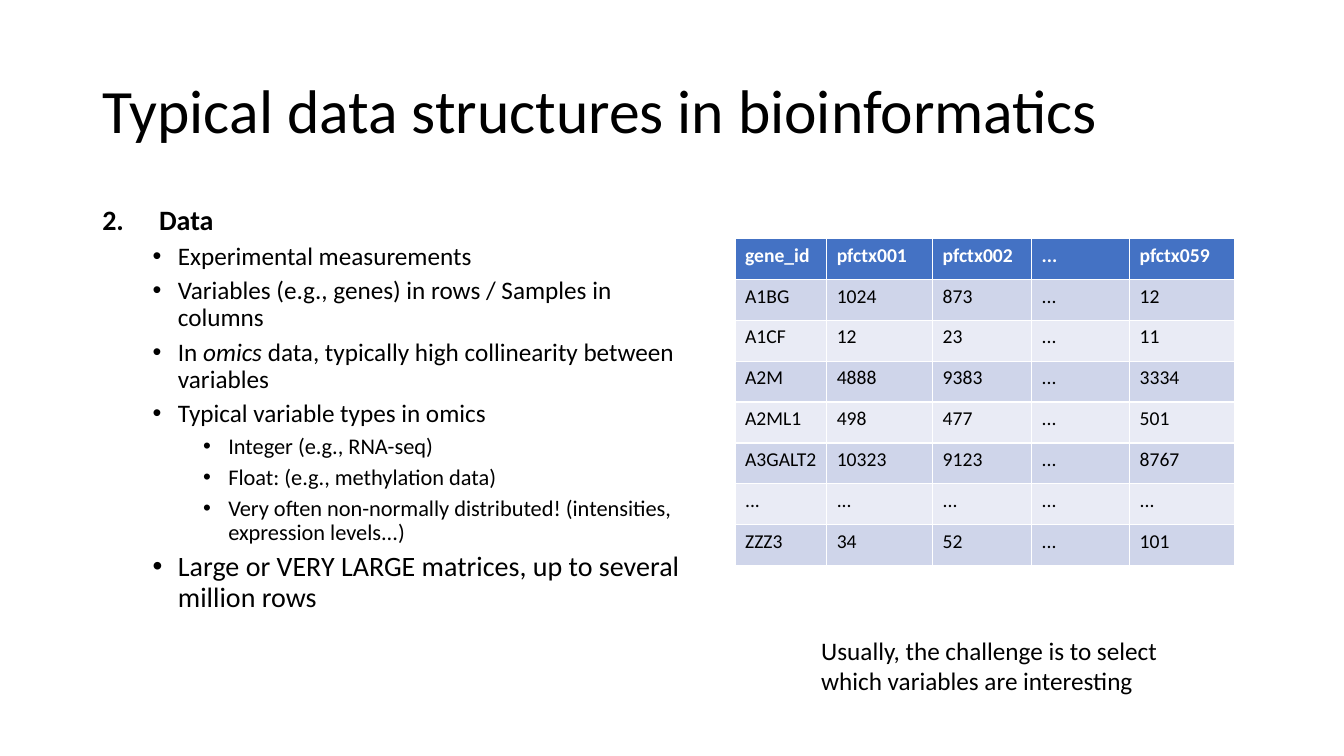
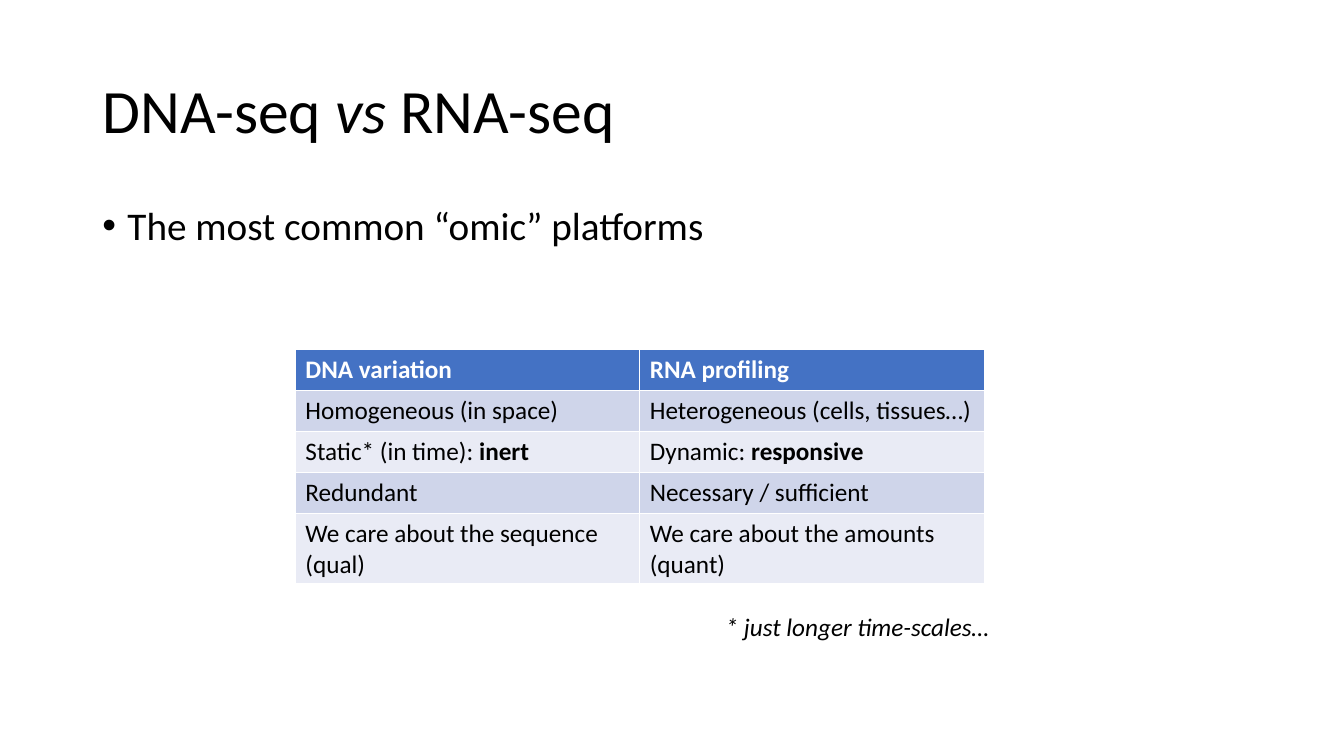
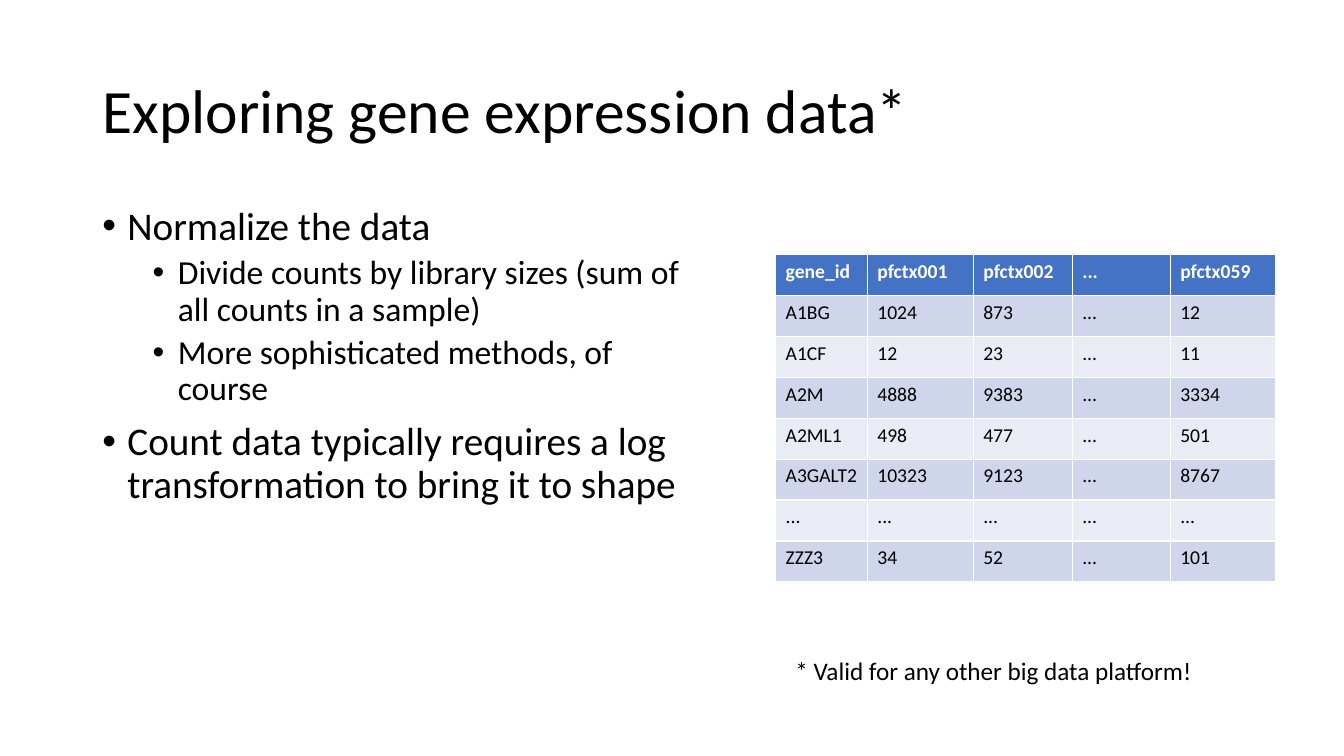
from lxml import etree
from pptx import Presentation
from pptx.dml.color import RGBColor
from pptx.enum.text import MSO_ANCHOR, MSO_AUTO_SIZE, PP_ALIGN
from pptx.oxml.ns import qn
from pptx.util import Pt

BLACK = RGBColor(0x00, 0x00, 0x00)
WHITE = RGBColor(0xFF, 0xFF, 0xFF)
HEADER_BLUE = RGBColor(0x44, 0x72, 0xC4)
BAND_DARK = RGBColor(0xCF, 0xD5, 0xEA)
BAND_LIGHT = RGBColor(0xE9, 0xEB, 0xF5)

LEFT = PP_ALIGN.LEFT
MIDDLE = MSO_ANCHOR.MIDDLE
NO_FIT = MSO_AUTO_SIZE.NONE
GROW = MSO_AUTO_SIZE.SHAPE_TO_FIT_TEXT

FONT = "Calibri"
TITLE_SIZE = 44
NOTE_SIZE = 18
LINE_SPACING = 0.9
MARGIN = 66
CONTENT_WIDTH = 828
BODY_TOP = 144
ROW_HEIGHT = 29.2
TITLE_ONLY = 5

BOLD = {"bold": True}
ITALIC = {"italic": True}

# Per outline level: left indent, hanging indent, space before
LEVELS = [(18, 18, 10), (54, 18, 5), (90, 18, 5)]
NUMBER_INDENT = 40.5

GENE_COLUMNS = [65.5, 75.7, 70.7, 70, 75]
GENE_COUNTS = [
    ["gene_id", "pfctx001", "pfctx002", "...", "pfctx059"],
    ["A1BG", "1024", "873", "...", "12"],
    ["A1CF", "12", "23", "...", "11"],
    ["A2M", "4888", "9383", "...", "3334"],
    ["A2ML1", "498", "477", "...", "501"],
    ["A3GALT2", "10323", "9123", "...", "8767"],
    ["..."] * 5,
    ["ZZZ3", "34", "52", "...", "101"],
]
PLATFORMS = [
    ["DNA variation", "RNA profiling"],
    ["Homogeneous (in space)", "Heterogeneous (cells, tissues…)"],
    [[("Static* (in time): ", {}), ("inert", BOLD)],
     [("Dynamic: ", {}), ("responsive", BOLD)]],
    ["Redundant", "Necessary / sufficient"],
    ["We care about the sequence (qual)", "We care about the amounts (quant)"],
]


def write_runs(paragraph, content, size, color=BLACK, **common):
    """Write a string, or a list of (text, font values) pairs, into a paragraph."""
    runs = [(content, {})] if isinstance(content, str) else content
    for text, own in runs:
        run = paragraph.add_run()
        run.text = text
        run.font.color.rgb = color
        values = {"name": FONT, "size": Pt(size), "bold": False, "italic": False}
        for name, value in {**values, **common, **own}.items():
            setattr(run.font, name, value)


def add_titled_slide(presentation, content):
    slide = presentation.slides.add_slide(presentation.slide_layouts[TITLE_ONLY])
    title = slide.shapes.title
    title.left, title.top = Pt(MARGIN), Pt(28.8)
    title.width, title.height = Pt(CONTENT_WIDTH), Pt(104.4)
    frame = title.text_frame
    frame.auto_size = NO_FIT
    frame.vertical_anchor = MIDDLE
    paragraph = frame.paragraphs[0]
    paragraph.alignment = LEFT
    paragraph.line_spacing = LINE_SPACING
    write_runs(paragraph, content, TITLE_SIZE)
    return slide


def set_bullet(paragraph, level, number=None):
    """Indent a paragraph and give it a dot, or a number to start from."""
    indent, hanging, _ = LEVELS[level]
    if number:
        indent = hanging = NUMBER_INDENT
    properties = paragraph._p.get_or_add_pPr()
    properties.set("marL", str(Pt(indent)))
    properties.set("indent", str(-Pt(hanging)))
    if number:
        etree.SubElement(properties, qn("a:buFont"), typeface="+mj-lt")
        etree.SubElement(properties, qn("a:buAutoNum"),
                         type="arabicPeriod", startAt=str(number))
    else:
        etree.SubElement(properties, qn("a:buFont"), typeface="Arial")
        etree.SubElement(properties, qn("a:buChar"), char="•")


def add_outline(slide, width, height, items, number=None):
    """Add a list of (level, size, content); number replaces the first bullet."""
    box = slide.shapes.add_textbox(Pt(MARGIN), Pt(BODY_TOP), Pt(width), Pt(height))
    frame = box.text_frame
    frame.word_wrap = True
    for index, (level, size, content) in enumerate(items):
        paragraph = frame.add_paragraph() if index else frame.paragraphs[0]
        paragraph.level = level
        paragraph.line_spacing = LINE_SPACING
        paragraph.space_before = Pt(LEVELS[level][2] if index else 0)
        first_number = number if index == 0 else None
        set_bullet(paragraph, level, first_number)
        write_runs(paragraph, content, size, bold=bool(first_number))


def add_note(slide, left, top, width, height, content, wrap=True):
    box = slide.shapes.add_textbox(Pt(left), Pt(top), Pt(width), Pt(height))
    frame = box.text_frame
    frame.word_wrap = wrap
    frame.auto_size = GROW
    write_runs(frame.paragraphs[0], content, NOTE_SIZE)


def add_banded_table(slide, left, top, columns, row_heights, rows, size):
    frame = slide.shapes.add_table(len(rows), len(columns), Pt(left), Pt(top),
                                   Pt(sum(columns)), Pt(sum(row_heights)))
    table = frame.table
    for column, width in zip(table.columns, columns):
        column.width = Pt(width)
    for index, (row, height, contents) in enumerate(
            zip(table.rows, row_heights, rows)):
        row.height = Pt(height)
        header = index == 0
        band = BAND_DARK if index % 2 else BAND_LIGHT
        for cell, content in zip(row.cells, contents):
            cell.fill.solid()
            cell.fill.fore_color.rgb = HEADER_BLUE if header else band
            write_runs(cell.text_frame.paragraphs[0], content, size,
                       WHITE if header else BLACK, bold=header)


def add_gene_table(slide, left, top):
    add_banded_table(slide, left, top, GENE_COLUMNS,
                     [ROW_HEIGHT] * len(GENE_COUNTS), GENE_COUNTS, 14)


def build_data_structures(presentation):
    slide = add_titled_slide(presentation, "Typical data structures in bioinformatics")
    add_outline(slide, 430.6, 357.8, [
        (0, 20, "Data"),
        (1, 18, "Experimental measurements"),
        (1, 18, "Variables (e.g., genes) in rows / Samples in columns"),
        (1, 18, [("In ", {}), ("omics", ITALIC),
                 (" data, typically high collinearity between variables", {})]),
        (1, 18, "Typical variable types in omics"),
        (2, 16, "Integer (e.g., RNA-seq)"),
        (2, 16, "Float: (e.g., methylation data)"),
        (2, 16, "Very often non-normally distributed! "
                "(intensities, expression levels...)"),
        (1, 20, "Large or VERY LARGE matrices, up to several million rows"),
    ], number=2)
    add_gene_table(slide, 525, 170.4)
    add_note(slide, 579.5, 450, 260.6, 51,
             "Usually, the challenge is to select which variables are interesting")


def build_platforms(presentation):
    slide = add_titled_slide(
        presentation, [("DNA-seq ", {}), ("vs ", ITALIC), ("RNA-seq", {})])
    add_outline(slide, CONTENT_WIDTH, 342.7,
                [(0, 28, "The most common “omic” platforms")])
    add_banded_table(slide, 211, 249.8, [246, 246],
                     [ROW_HEIGHT] * 4 + [50.4], PLATFORMS, 18)
    add_note(slide, 511.2, 433.4, 206, 29,
             [("* just longer time-scales…", ITALIC)], wrap=False)


def build_expression(presentation):
    slide = add_titled_slide(presentation, "Exploring gene expression data*")
    add_gene_table(slide, 554, 182)
    add_note(slide, 561, 464.4, 370.8, 29, "* Valid for any other big data platform!")
    add_outline(slide, 446.4, 342.7, [
        (0, 28, "Normalize the data"),
        (1, 24, "Divide counts by library sizes (sum of all counts in a sample)"),
        (1, 24, "More sophisticated methods, of course"),
        (0, 28, "Count data typically requires a log transformation "
                "to bring it to shape"),
    ])


def main():
    presentation = Presentation()
    presentation.slide_width, presentation.slide_height = Pt(960), Pt(540)
    build_data_structures(presentation)
    build_platforms(presentation)
    build_expression(presentation)
    presentation.save("out.pptx")


if __name__ == "__main__":
    main()
